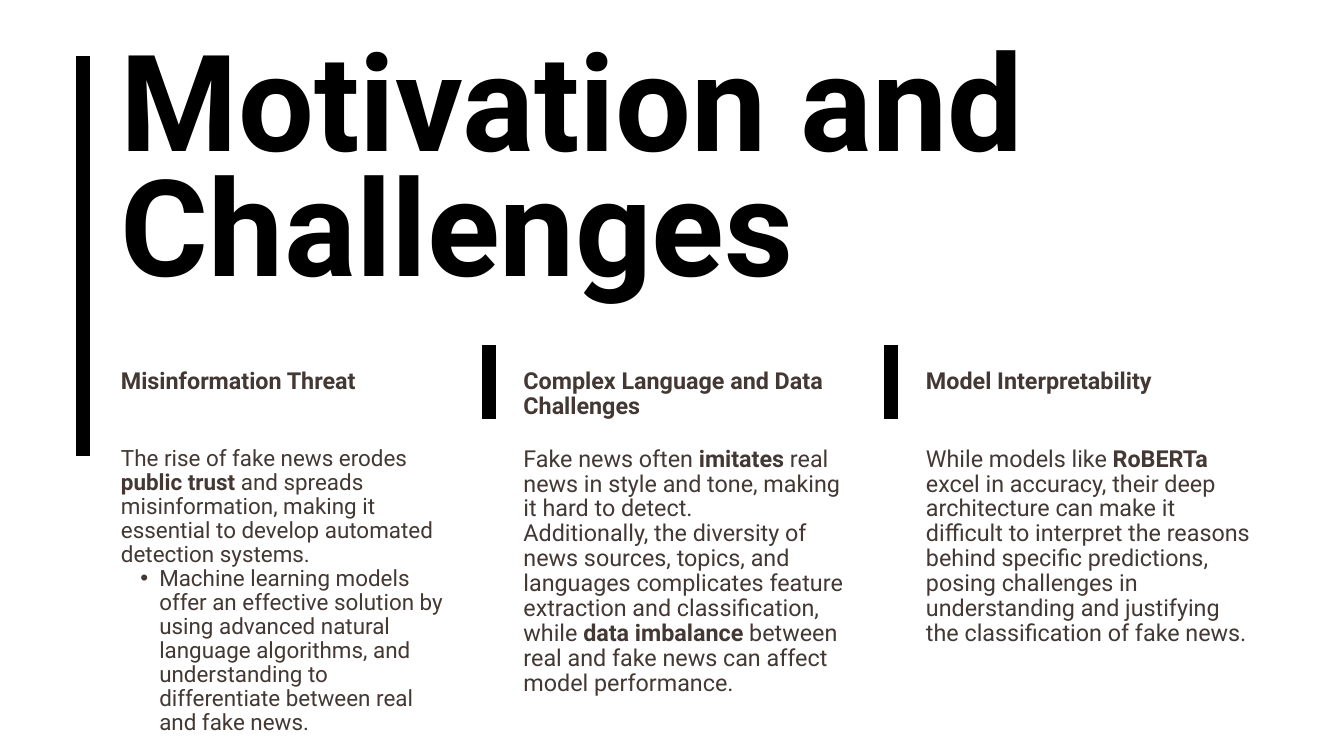
from pptx import Presentation
from pptx import util as u
from pptx.dml.color import RGBColor
from pptx.enum import shapes, text
from pptx.oxml.ns import qn
from lxml import etree

Inches, Pt = u.Inches, u.Pt
COLORS = {"black": "000000", "brown": "433833", "white": "FFFFFF"}
FONT = "Roboto"

# Each body paragraph is (bulleted, [(text, bold), ...])
COLUMNS = [
    {"heading": "Misinformation Threat", "size": 24, "spacing": 25.7, "height": 4.26,
     "body": [
         (False, [("The rise of fake news erodes ", False), ("public trust ", True),
                  ("and spreads misinformation, making it essential to develop "
                   "automated detection systems.", False)]),
         (True, [("Machine learning models offer an effective solution by using "
                  "advanced natural language algorithms, and understanding to "
                  "differentiate between real and fake news.", False)])]},
    {"heading": "Complex Language and Data Challenges", "size": 25, "spacing": 26.7,
     "height": 4.02, "body": [
         (False, [("Fake news often ", False), ("imitates", True),
                  (" real news in style and tone, making it hard to detect.", False)]),
         (False, [("Additionally, the diversity of news sources, topics, and languages "
                   "complicates feature extraction and classification, while ", False),
                  ("data imbalance", True),
                  (" between real and fake news can affect model performance.", False)])]},
    {"heading": "Model Interpretability", "size": 25, "spacing": 26.7, "height": 3.3,
     "body": [
         (False, [("While models like ", False), ("RoBERTa ", True),
                  ("excel in accuracy, their deep architecture can make it difficult to "
                   "interpret the reasons behind specific predictions, posing challenges "
                   "in understanding and justifying the classification of fake news.",
                   False)])]},
]


def place(sp, box):
    sp.left, sp.top, sp.width, sp.height = (Inches(v) for v in box)


def set_bullet(p, bulleted):
    pPr = p._p.get_or_add_pPr()
    if bulleted:
        p.level = 1
        pPr.set("marL", str(Inches(0.57)))
        pPr.set("indent", str(Inches(-0.28)))
        etree.SubElement(pPr, qn("a:buFont"), typeface="Arial")
        etree.SubElement(pPr, qn("a:buChar"), char="•")
    else:
        pPr.set("marL", "0")
        pPr.set("indent", "0")
        etree.SubElement(pPr, qn("a:buNone"))


def fill_text(sp, box, paragraphs, size, spacing, color):
    place(sp, box)
    tf = sp.text_frame
    frame_format = {"word_wrap": True, "auto_size": text.MSO_AUTO_SIZE.NONE,
                    "vertical_anchor": text.MSO_ANCHOR.TOP, "margin_left": 0,
                    "margin_right": 0, "margin_top": 0, "margin_bottom": 0}
    for name, value in frame_format.items():
        setattr(tf, name, value)
    para_format = {"alignment": text.PP_ALIGN.LEFT, "line_spacing": Pt(spacing),
                   "space_before": Pt(0), "space_after": Pt(0)}
    for i, (bulleted, runs) in enumerate(paragraphs):
        p = tf.add_paragraph() if i else tf.paragraphs[0]
        for name, value in para_format.items():
            setattr(p, name, value)
        set_bullet(p, bulleted)
        for words, bold in runs:
            r = p.add_run()
            r.text = words
            for name, value in {"name": FONT, "size": Pt(size), "bold": bold}.items():
                setattr(r.font, name, value)
            r.font.color.rgb = RGBColor.from_string(COLORS[color])


def add_bar(s, x, top, bottom):
    bar = s.shapes.add_connector(shapes.MSO_CONNECTOR.STRAIGHT, Inches(x), Inches(top),
                                 Inches(x), Inches(bottom))
    bar.line.width = Pt(15)
    bar.line.color.rgb = RGBColor.from_string(COLORS["black"])
    etree.SubElement(bar._element.spPr, qn("a:effectLst"))


def add_title(s, box):
    fill_text(s.shapes.title, box, [(False, [("Motivation and Challenges", True)])],
              144, 133.9, "black")


def add_column(s, column, box, body=None):
    """Heading at the top of the box, body text 1.16 inches below it."""
    left, top, width, height = box
    heading = s.shapes.add_textbox(0, 0, 0, 0)
    fill_text(heading, (left, top, width, 0.74), [(False, [(column["heading"], True)])],
              25, 26.7, "brown")
    body = body or s.shapes.add_textbox(0, 0, 0, 0)
    fill_text(body, (left, top + 1.16, width, height), column["body"],
              column["size"], column["spacing"], "brown")


def main():
    prs = Presentation()
    prs.slide_width, prs.slide_height = Inches(20), Inches(11.25)
    s = prs.slides.add_slide(prs.slide_layouts[1])
    s.background.fill.solid()
    s.background.fill.fore_color.rgb = RGBColor.from_string(COLORS["white"])

    # Title with the tall bar beside it
    add_bar(s, 1.23, 0.84, 6.79)
    add_title(s, (1.8, 0.79, 16.94, 3.84))

    # Three columns, the later two each with a short bar
    for i, column in enumerate(COLUMNS):
        left = 1.8 + 5.99 * i
        if i:
            add_bar(s, left - 0.52, 5.14, 6.24)
        add_column(s, column, (left, 5.49, 4.93, column["height"]),
                   None if i else s.placeholders[1])

    prs.save("out.pptx")


if __name__ == "__main__":
    main()
